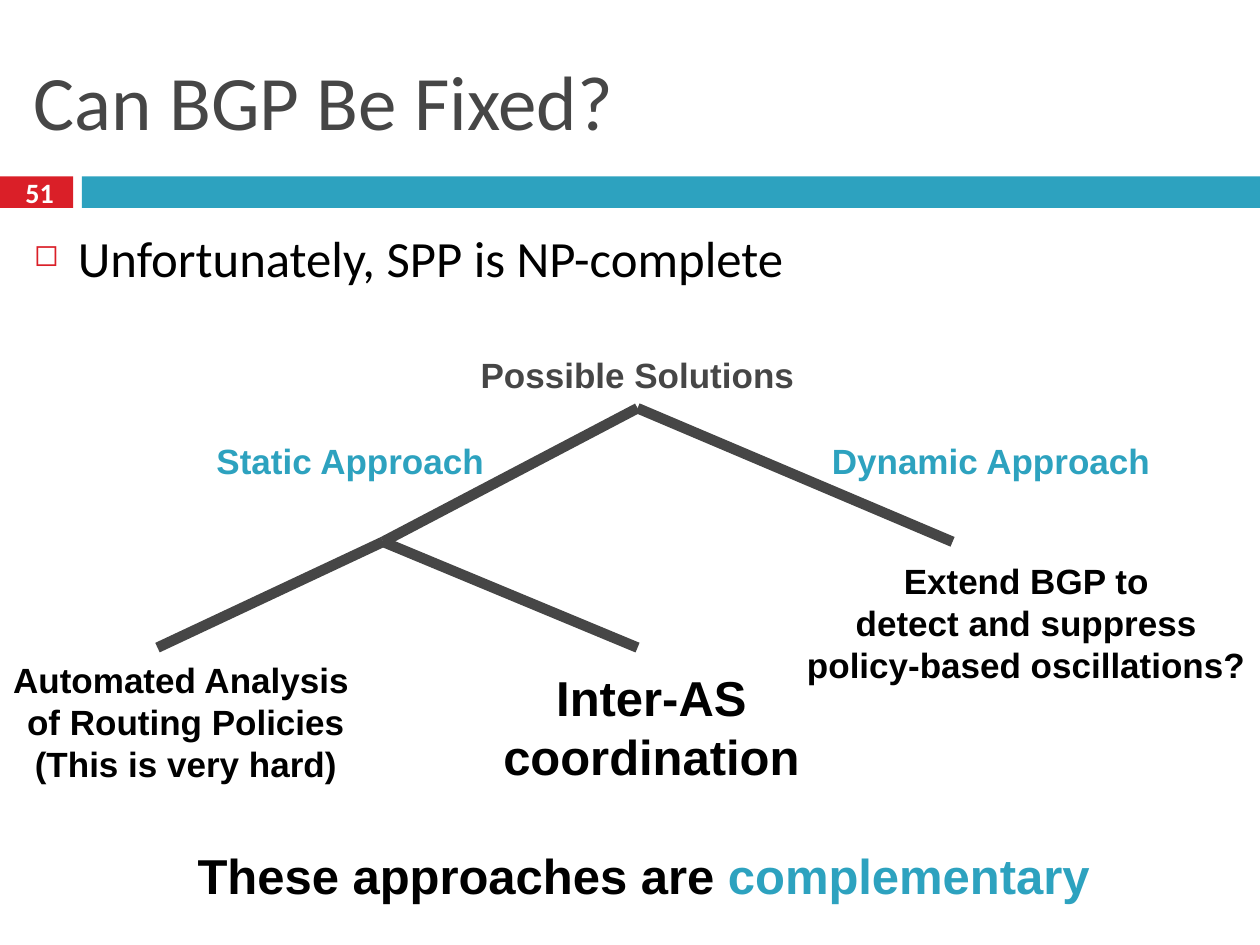
import dataclasses

import lxml.etree
import pptx
import pptx.dml.color
import pptx.enum.shapes
import pptx.enum.text
import pptx.oxml.ns
import pptx.util

Inches = pptx.util.Inches
Pt = pptx.util.Pt
ALIGN = pptx.enum.text.PP_ALIGN
ANCHOR = pptx.enum.text.MSO_ANCHOR


def color(value):
    return pptx.dml.color.RGBColor.from_string(value)


@dataclasses.dataclass(frozen=True)
class Theme:
    gray = color("464646")
    teal = color("2DA2BF")
    red = color("DA1F28")
    black = color("000000")
    white = color("FFFFFF")
    heading_font = "Calibri"
    diagram_font = "Arial"
    title_size = 44
    body_size = 29
    large_size = 28
    label_size = 20
    number_size = 16
    branch_width = 6


THEME = Theme()


def set_attributes(target, values):
    for name, value in values.items():
        setattr(target, name, value)


def add_text(slide, box, lines, font, align=ALIGN.LEFT, anchor=ANCHOR.TOP,
             wrap=True, line_spacing=None):
    """Each line is a list of (text, color) runs; font holds the shared format."""
    text_box = slide.shapes.add_textbox(*map(Inches, box))
    frame = text_box.text_frame
    set_attributes(frame, {"word_wrap": wrap, "vertical_anchor": anchor})
    for index, runs in enumerate(lines):
        paragraph = frame.add_paragraph() if index else frame.paragraphs[0]
        set_attributes(paragraph, {"alignment": align, "line_spacing": line_spacing})
        for text, run_color in runs:
            run = paragraph.add_run()
            run.text = text
            set_attributes(run.font, font)
            run.font.color.rgb = run_color
    return text_box


def add_bullet(paragraph, character, bullet_color, percent, indent):
    properties = paragraph._p.get_or_add_pPr()
    properties.set("marL", str(Inches(indent)))
    properties.set("indent", str(-Inches(indent)))
    qn = pptx.oxml.ns.qn
    color_element = lxml.etree.SubElement(properties, qn("a:buClr"))
    lxml.etree.SubElement(color_element, qn("a:srgbClr"), val=str(bullet_color))
    lxml.etree.SubElement(properties, qn("a:buSzPct"), val=str(percent * 1000))
    lxml.etree.SubElement(properties, qn("a:buChar"), char=character)


def add_bar(slide, box, fill):
    bar = slide.shapes.add_shape(
        pptx.enum.shapes.MSO_SHAPE.RECTANGLE, *map(Inches, box))
    bar.shadow.inherit = False
    bar.fill.solid()
    bar.fill.fore_color.rgb = fill
    bar.line.fill.background()


def add_header(slide, box, title, number):
    """Title above a band made of the number tab and the teal bar."""
    left, top, width, height = box
    tab, gap, band = 0.58, 0.07, 0.25
    band_top = top + height - band
    bar_left = left + tab + gap
    add_bar(slide, (left, band_top, tab, band), THEME.red)
    add_bar(slide, (bar_left, band_top, width - tab - gap, band), THEME.teal)
    add_text(slide, (left + 0.17, top + 0.25, width - 0.33, 1.08),
             [[(title, THEME.gray)]],
             {"name": THEME.heading_font, "size": Pt(THEME.title_size)},
             anchor=ANCHOR.MIDDLE)
    add_text(slide, (left, band_top - 0.02, 0.63, 0.29), [[(number, THEME.white)]],
             {"name": THEME.heading_font, "size": Pt(THEME.number_size), "bold": True},
             align=ALIGN.CENTER, anchor=ANCHOR.MIDDLE)


def add_body(slide, box, text):
    body = add_text(slide, box, [[(text, THEME.black)]],
                    {"name": THEME.heading_font, "size": Pt(THEME.body_size)})
    add_bullet(body.text_frame.paragraphs[0], "◻", THEME.red, 60, 0.35)


def add_diagram_text(slide, box, lines, size, align=ALIGN.CENTER):
    add_text(slide, box, lines,
             {"name": THEME.diagram_font, "size": Pt(size), "bold": True},
             align=align, wrap=False, line_spacing=Pt(size * 1.2))


def add_branch(slide, start, end):
    branch = slide.shapes.add_connector(
        pptx.enum.shapes.MSO_CONNECTOR.STRAIGHT, *map(Inches, start + end))
    branch.line.color.rgb = THEME.gray
    branch.line.width = Pt(THEME.branch_width)
    lxml.etree.SubElement(branch._element.spPr, pptx.oxml.ns.qn("a:effectLst"))


def add_solution_tree(slide, box):
    """Nodes and labels are placed relative to the top left of the box."""
    left, top = box[:2]
    root, static, dynamic = (5.06, 0.48), (3.04, 1.54), (7.56, 1.54)
    analysis, coordination = (1.25, 2.38), (5.06, 2.38)
    for start, end in ((root, static), (root, dynamic),
                       (static, analysis), (static, coordination)):
        add_branch(slide, (left + start[0], top + start[1]),
                   (left + end[0], top + end[1]))

    labels = [
        ((3.48, 0, 3.16, 0.44), ["Possible Solutions"], THEME.gray, THEME.label_size),
        ((1.51, 0.68, 2.54, 0.44), ["Static Approach"], THEME.teal, THEME.label_size),
        ((6.49, 0.68, 2.75, 0.44), ["Dynamic Approach"], THEME.teal, THEME.label_size),
        ((0, 2.42, 2.95, 1.1),
         ["Automated Analysis ", "of Routing Policies", "(This is very hard)"],
         THEME.black, THEME.label_size),
        ((3.89, 2.49, 2.56, 1.03), ["Inter-AS", "coordination"],
         THEME.black, THEME.large_size),
        ((6.26, 1.63, 3.77, 1.11),
         ["Extend BGP to", "detect and suppress", "policy-based oscillations?"],
         THEME.black, THEME.label_size),
    ]
    for (x, y, width, height), lines, text_color, size in labels:
        add_diagram_text(slide, (left + x, top + y, width, height),
                         [[(line, text_color)] for line in lines], size)


def add_conclusion(slide, box):
    add_diagram_text(slide, box,
                     [[("These approaches are ", THEME.black),
                       ("complementary", THEME.teal)]],
                     THEME.large_size, align=ALIGN.LEFT)


def main():
    presentation = pptx.Presentation()
    set_attributes(presentation,
                   {"slide_width": Inches(10), "slide_height": Inches(7.5)})
    slide = presentation.slides.add_slide(presentation.slide_layouts[6])
    add_header(slide, (0, 0, 10, 1.65), "Can BGP Be Fixed?", "51")
    add_body(slide, (0.17, 1.75, 9.67, 0.67), "Unfortunately, SPP is NP-complete")
    add_solution_tree(slide, (0, 2.76, 10, 3.52))
    add_conclusion(slide, (1.47, 6.66, 7.3, 0.57))
    presentation.save("out.pptx")


if __name__ == "__main__":
    main()
